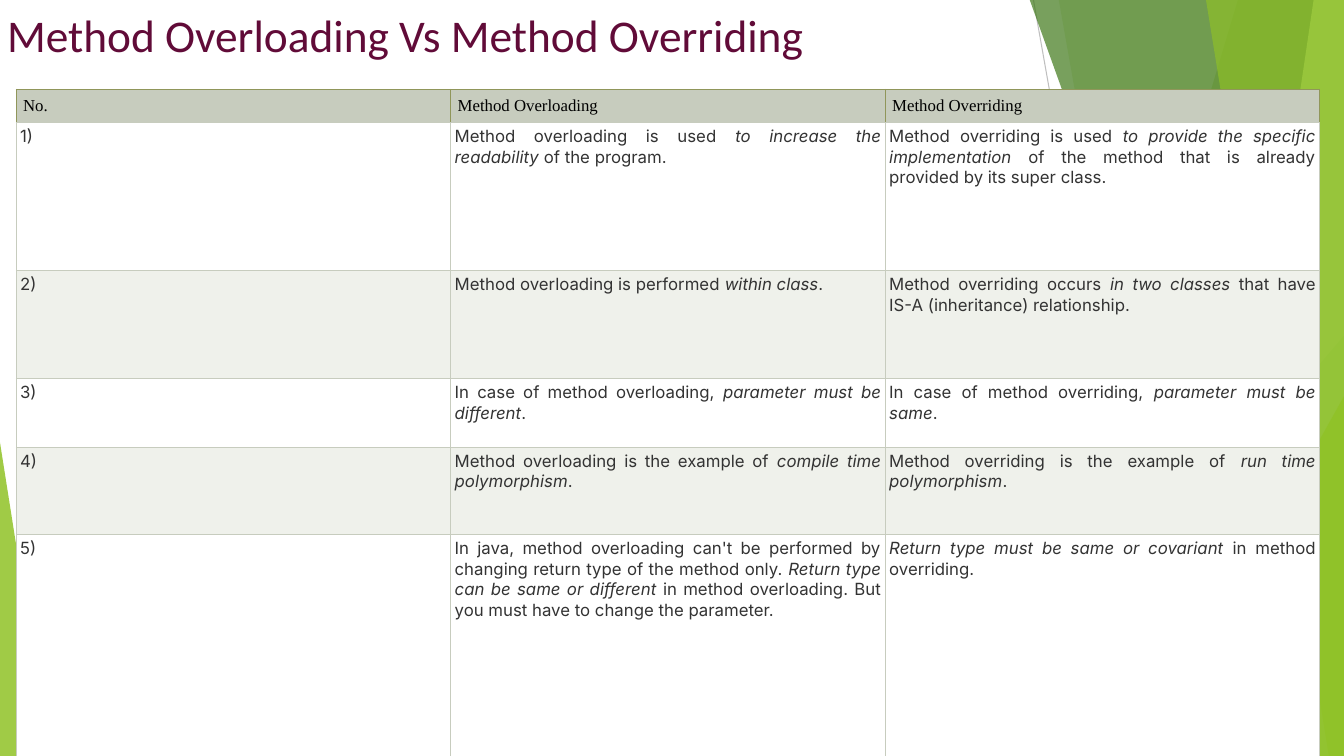
from lxml.etree import SubElement
from pptx import Presentation
from pptx.dml.color import RGBColor
from pptx.enum.shapes import MSO_CONNECTOR as Connector, MSO_SHAPE as Preset
from pptx.enum.text import MSO_ANCHOR as Anchor, PP_ALIGN as Align
from pptx.oxml import parse_xml
from pptx.oxml.ns import nsdecls, qn
from pptx.util import Inches, Pt

TITLE = "Method Overloading Vs Method Overriding"
HEADINGS = ["No.", "Method Overloading", "Method Overriding"]
DIFFERENCES = [
    ("Method overloading is used *to increase the readability* of the program.",
     "Method overriding is used *to provide the specific implementation* of the method "
     "that is already provided by its super class."),
    ("Method overloading is performed *within class*.",
     "Method overriding occurs *in two classes* that have IS-A (inheritance) relationship."),
    ("In case of method overloading, *parameter must be different*.",
     "In case of method overriding, *parameter must be same*."),
    ("Method overloading is the example of *compile time polymorphism*.",
     "Method overriding is the example of *run time polymorphism*."),
    ("In java, method overloading can't be performed by changing return type of the method only. "
     "*Return type can be same or different* in method overloading. "
     "But you must have to change the parameter.",
     "*Return type must be same or covariant* in method overriding."),
]

COLUMNS, ROWS = 1333, 750
UNIT = Inches(0.01)
TITLE_BOX = (0, 0, 1014, 75)
TABLE_BOX = (16, 88.5, 1293, 667)
ROW_HEIGHTS = [33, 147, 107, 68, 87, 225]
RAYS = [((1025, 0), (1158, ROWS), "BFBFBF"), ((COLUMNS, 403), (812, ROWS), "D9D9D9")]
FACETS = [
    ("slab", (1228, 1004), "90C226", 30),
    ("slab", (1050, 1183), "90C226", 20),
    ("triangle", (977, 333, 356, 417, 1), "54A021", 72),
    ("slab", (1021, 1291), "3F7819", 70),
    ("slab", (1303, 1192), "C0E474", 70),
    ("slab", (1196, 1318), "90C226", 65),
    ("triangle", (1134, 393, 199, 357, 1), "90C226", 80),
    ("triangle", (0, 439, 49, 311, 0), "90C226", 85),
]
HEADER = {"fill": "C7CCBE", "inset": 7, "edge": "90965A", "align": Align.LEFT,
          "font": {"name": "Times New Roman", "size": Pt(12), "bold": False}, "ink": "000000"}
BODY = {"fills": ["FFFFFF", "EFF1EB"], "inset": 4, "edge": "C7CCBE", "align": Align.JUSTIFY,
        "font": {"name": "Inter", "size": Pt(12), "bold": False}, "ink": "333333"}


def color(code):
    return RGBColor.from_string(code)


def grid(*lengths):
    return [round(length * UNIT) for length in lengths]


def apply(target, values):
    for name, value in values.items():
        setattr(target, name, value)


def add_ray(shapes, start, end, ink):
    ray = shapes.add_connector(Connector.STRAIGHT, *grid(*start, *end))
    ray.line.width = Pt(0.75)
    ray.line.color.rgb = color(ink)
    SubElement(ray.element.spPr, qn("a:effectLst"))


def add_facet(shapes, kind, geometry, ink, opacity):
    if kind == "slab":
        top, bottom = geometry
        outline = shapes.build_freeform(*grid(top, -1))
        corners = [(COLUMNS, -1), (COLUMNS, ROWS), (bottom, ROWS)]
        outline.add_line_segments([grid(*corner) for corner in corners], close=True)
        facet = outline.convert_to_shape()
    else:
        *box, apex = geometry
        facet = shapes.add_shape(Preset.ISOSCELES_TRIANGLE, *grid(*box))
        facet.adjustments[0] = apex
    facet.shadow.inherit = False
    facet.line.fill.background()
    facet.fill.solid()
    facet.fill.fore_color.rgb = color(ink)
    paint = facet.element.spPr.find(qn("a:solidFill"))[0]
    SubElement(paint, qn("a:alpha"), val=str(opacity * 1000))


def fill_cell(cell, wording, look, fill):
    inset = grid(look["inset"])[0]
    apply(cell, {f"margin_{side}": inset for side in ("left", "top", "right", "bottom")})
    cell.fill.solid()
    cell.fill.fore_color.rgb = color(fill)
    edges = {"lnL": look["edge"], "lnR": look["edge"], "lnT": look["edge"], "lnB": BODY["edge"]}
    properties = cell._tc.get_or_add_tcPr()
    for place, (edge, ink) in enumerate(edges.items()):
        properties.insert(place, parse_xml(
            f'<a:{edge} {nsdecls("a")} w="{Pt(0.6)}"><a:solidFill>'
            f'<a:srgbClr val="{ink}"/></a:solidFill></a:{edge}>'))
    paragraph = cell.text_frame.paragraphs[0]
    paragraph.alignment = look["align"]
    for place, words in enumerate(wording.split("*")):
        if words:
            run = paragraph.add_run()
            run.text = words
            apply(run.font, {**look["font"], "italic": place % 2 == 1})
            run.font.color.rgb = color(look["ink"])


def add_title(title):
    apply(title, dict(zip(("left", "top", "width", "height"), grid(*TITLE_BOX))))
    frame = title.text_frame
    frame.text = TITLE
    apply(frame, {"word_wrap": True, "vertical_anchor": Anchor.TOP,
                  "margin_left": Inches(0.07), "margin_top": Inches(0.07)})
    heading = frame.paragraphs[0]
    heading.alignment = Align.LEFT
    apply(heading.runs[0].font, {"name": "Calibri", "size": Pt(32.4), "bold": False})
    heading.runs[0].font.color.rgb = color("610B38")


def add_comparison(shapes):
    table = shapes.add_table(len(ROW_HEIGHTS), len(HEADINGS), *grid(*TABLE_BOX)).table
    apply(table, {"first_row": False, "horz_banding": False})
    for row, height in zip(table.rows, ROW_HEIGHTS):
        row.height = grid(height)[0]
    for column, heading in enumerate(HEADINGS):
        fill_cell(table.cell(0, column), heading, HEADER, HEADER["fill"])
    for number, difference in enumerate(DIFFERENCES, 1):
        fill = BODY["fills"][(number - 1) % 2]
        for column, wording in enumerate((f"{number})", *difference)):
            fill_cell(table.cell(number, column), wording, BODY, fill)


def main():
    deck = Presentation()
    deck.slide_width, deck.slide_height = grid(COLUMNS, ROWS)
    slide = deck.slides.add_slide(deck.slide_layouts[5])
    for ray in RAYS:
        add_ray(slide.shapes, *ray)
    for facet in FACETS:
        add_facet(slide.shapes, *facet)
    add_title(slide.shapes.title)
    add_comparison(slide.shapes)
    deck.save("out.pptx")


if __name__ == "__main__":
    main()
